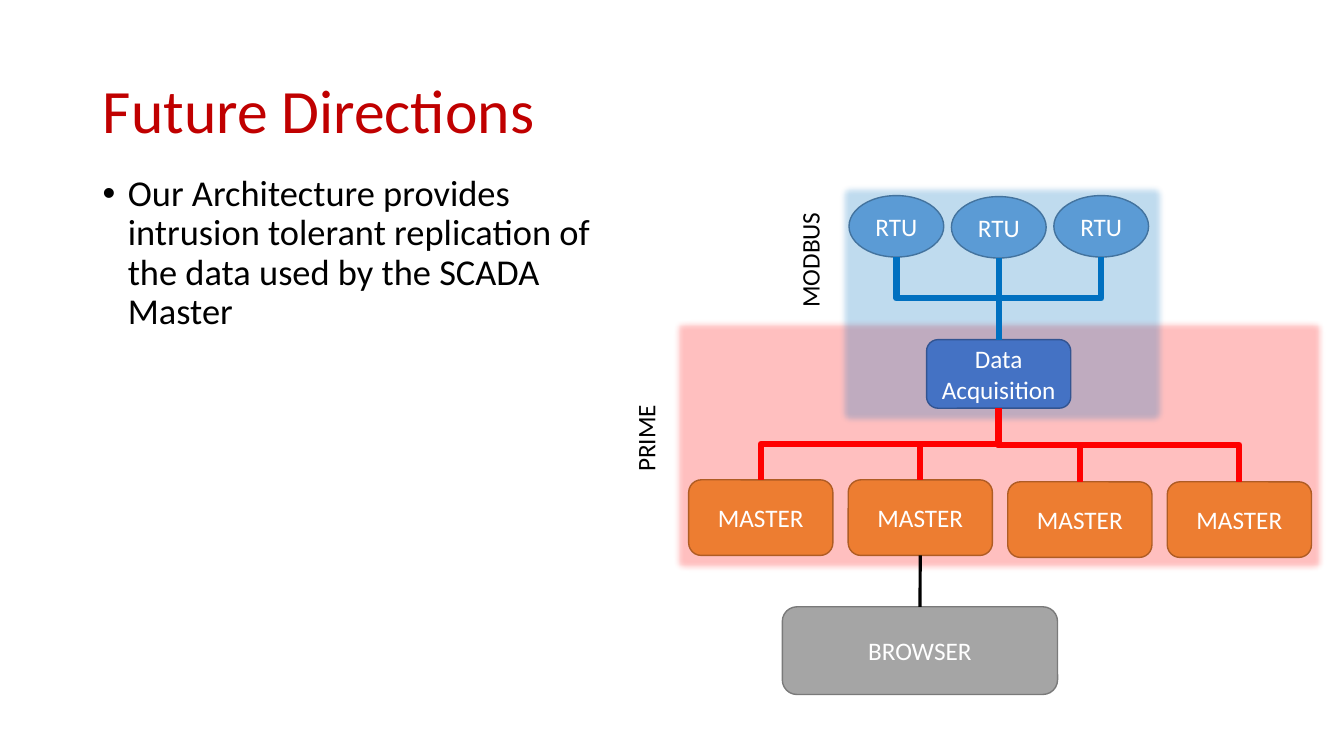
from dataclasses import dataclass

from lxml import etree
from pptx import Presentation
from pptx.dml.color import RGBColor
from pptx.enum.shapes import MSO_CONNECTOR, MSO_SHAPE
from pptx.enum.text import MSO_ANCHOR, MSO_AUTO_SIZE, PP_ALIGN
from pptx.oxml.ns import qn
from pptx.util import Inches, Pt

RECT, ROUND, OVAL = MSO_SHAPE.RECTANGLE, MSO_SHAPE.ROUNDED_RECTANGLE, MSO_SHAPE.OVAL
ELBOW, STRAIGHT = MSO_CONNECTOR.ELBOW, MSO_CONNECTOR.STRAIGHT
MIDDLE, LEFT, CENTER = MSO_ANCHOR.MIDDLE, PP_ALIGN.LEFT, PP_ALIGN.CENTER
NO_FIT = MSO_AUTO_SIZE.NONE

WIDE, HIGH = Inches(13.33), Inches(7.5)


@dataclass(frozen=True)
class Theme:
    font: str = "Calibri"
    head: int = 44
    body: int = 26
    label: int = 18
    title: str = "C00000"
    ink: str = "000000"
    white: str = "FFFFFF"
    prime: str = "FF0000"
    modbus: str = "0070C0"
    # Fill and line of each kind of box
    rtu: tuple = ("5B9BD5", "43739E")
    data: tuple = ("4472C4", "325491")
    master: tuple = ("ED7D31", "AF5C24")
    browser: tuple = ("A5A5A5", "7A7A7A")


THEME = Theme()


def place(x, y, w, h):
    """Turn percentages of the slide's width and height into lengths."""
    return [int(n * side / 100) for n, side in
            ((x, WIDE), (y, HIGH), (w, WIDE), (h, HIGH))]


def write(shape, text, size, color, align=LEFT):
    frame = shape.text_frame
    frame.text = text
    frame.word_wrap = True
    para = frame.paragraphs[0]
    para.alignment = align
    font = para.runs[0].font
    font.name, font.size = THEME.font, Pt(size)
    font.color.rgb = RGBColor.from_string(color)
    return para


def add_title(slide, text, *area):
    title = slide.shapes.title
    title.left, title.top, title.width, title.height = place(*area)
    para = write(title, text, THEME.head, THEME.title)
    para.line_spacing = 0.9
    title.text_frame.vertical_anchor = MIDDLE
    title.text_frame.auto_size = NO_FIT


def add_bullet(slide, text, *area):
    box = slide.shapes.add_textbox(*place(*area))
    para = write(box, text, THEME.body, THEME.ink)
    para.line_spacing, para.space_before = 0.9, Pt(10)
    props = para._p.get_or_add_pPr()
    props.set("marL", str(Inches(0.25)))
    props.set("indent", str(-Inches(0.25)))
    etree.SubElement(props, qn("a:buFont"), typeface="Arial")
    etree.SubElement(props, qn("a:buChar"), char="•")


def add_label(slide, text, *area):
    box = slide.shapes.add_textbox(*place(*area))
    write(box, text, THEME.label, THEME.ink)
    box.rotation = 270


def add_shape(slide, kind, colors, *area):
    shape = slide.shapes.add_shape(kind, *place(*area))
    shape.shadow.inherit = False
    fill, line = colors
    shape.fill.solid()
    shape.fill.fore_color.rgb = RGBColor.from_string(fill)
    shape.line.color.rgb = RGBColor.from_string(line)
    shape.line.width = Pt(1)
    return shape


def add_zone(slide, color, *area):
    """Add a see-through area with soft edges."""
    zone = add_shape(slide, RECT, (color, THEME.rtu[1]), *area)
    props = zone._element.spPr
    tint = props.find(qn("a:solidFill"))[0]
    etree.SubElement(tint, qn("a:alpha"), val="25000")
    effects = props.find(qn("a:effectLst"))
    etree.SubElement(effects, qn("a:softEdge"), rad=str(Pt(5)))


def add_box(slide, kind, text, colors, *area):
    box = add_shape(slide, kind, colors, *area)
    write(box, text, THEME.label, THEME.white, CENTER)
    box.text_frame.vertical_anchor = MIDDLE
    return box


def style_line(line, color, width):
    line.line.color.rgb = RGBColor.from_string(color)
    line.line.width = Pt(width)
    etree.SubElement(line._element.spPr, qn("a:effectLst"))


def ends(upper, lower):
    """Give the bottom centre of one box and the top centre of the next."""
    return (upper.left + upper.width // 2, upper.top + upper.height,
            lower.left + lower.width // 2, lower.top)


def add_elbow(slide, upper, lower, color):
    """Add a down-across-down link: a level elbow turned by 90 degrees."""
    x1, y1, x2, y2 = ends(upper, lower)
    mid_x, mid_y = (x1 + x2) // 2, (y1 + y2) // 2
    drop, shift = (y2 - y1) // 2, (x1 - x2) // 2
    link = slide.shapes.add_connector(ELBOW, mid_x - drop, mid_y - shift,
                                      mid_x + drop, mid_y + shift)
    link._element.spPr.find(qn("a:xfrm")).set("rot", str(90 * 60000))
    style_line(link, color, 4.5)


def main():
    deck = Presentation()
    deck.slide_width, deck.slide_height = WIDE, HIGH
    slide = deck.slides.add_slide(deck.slide_layouts[5])

    # Title and statement
    add_title(slide, "Future Directions", 6.9, 5.33, 86.25, 19.33)
    add_bullet(slide, "Our Architecture provides intrusion tolerant replication "
               "of the data used by the SCADA Master", 6.9, 22.53, 39.3, 72.67)

    # Protocol zones with their names
    add_zone(slide, THEME.prime, 49.96, 42, 48.76, 33.87)
    add_zone(slide, THEME.modbus, 62.19, 24, 24.68, 32.53)
    add_label(slide, "PRIME", 43.14, 52.67, 9.6, 5.07)
    add_label(slide, "MODBUS", 55.36, 30.93, 9.6, 5.07)

    # Boxes
    browser = add_box(slide, ROUND, "BROWSER", THEME.browser,
                      58.21, 80.27, 20.48, 11.6)
    masters = [add_box(slide, ROUND, "MASTER", THEME.master,
                       51.24 + 11.87 * col, top, 10.73, 10)
               for col, top in enumerate((63.47, 63.47, 63.73, 63.73))]
    data = add_box(slide, ROUND, "Data Acquisition", THEME.data,
                   68.94, 44.93, 10.73, 9.07)
    rtus = [add_box(slide, OVAL, "RTU", THEME.rtu,
                    63.17 + 7.62 * col, top, 7.05, 8.13)
            for col, top in enumerate((25.87, 26, 25.87))]

    # Links
    for master in masters:
        add_elbow(slide, data, master, THEME.prime)
    for rtu in rtus:
        add_elbow(slide, rtu, data, THEME.modbus)
    wire = slide.shapes.add_connector(STRAIGHT, *ends(masters[1], browser))
    style_line(wire, THEME.ink, 2.25)

    deck.save("out.pptx")


if __name__ == "__main__":
    main()
